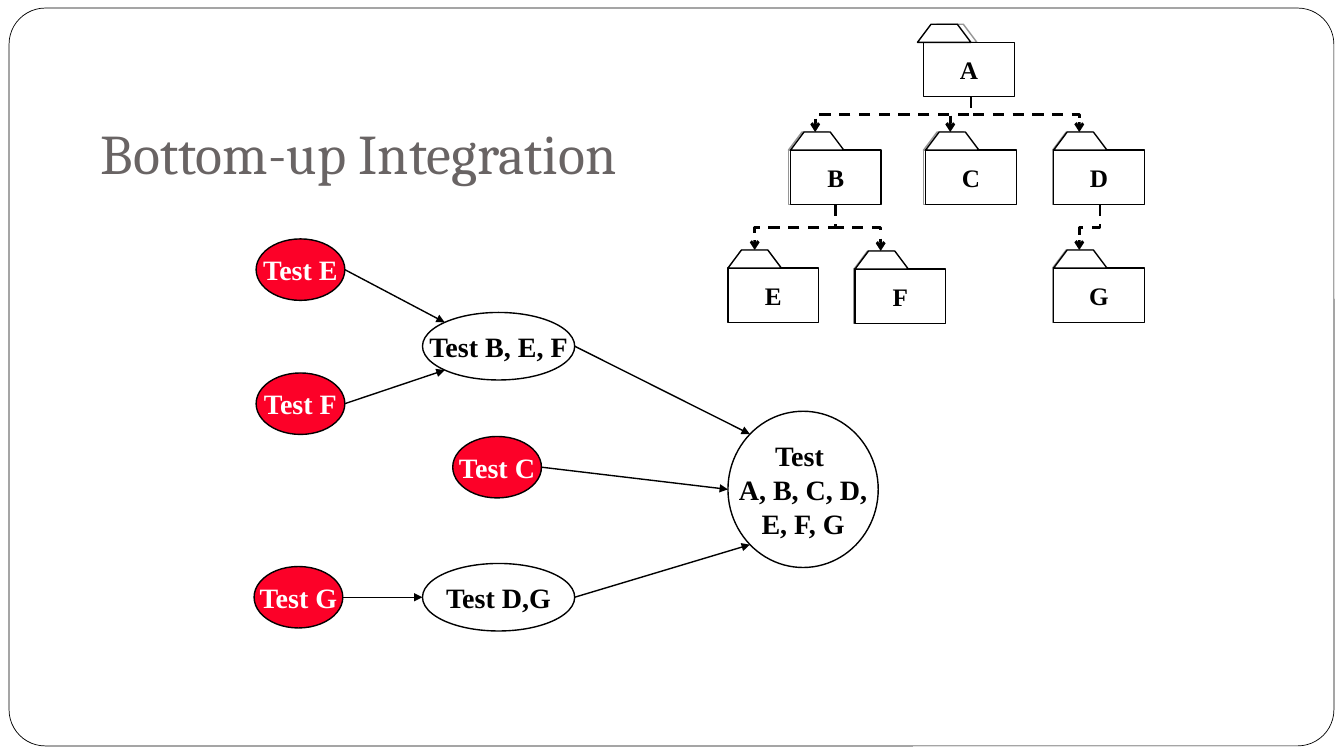
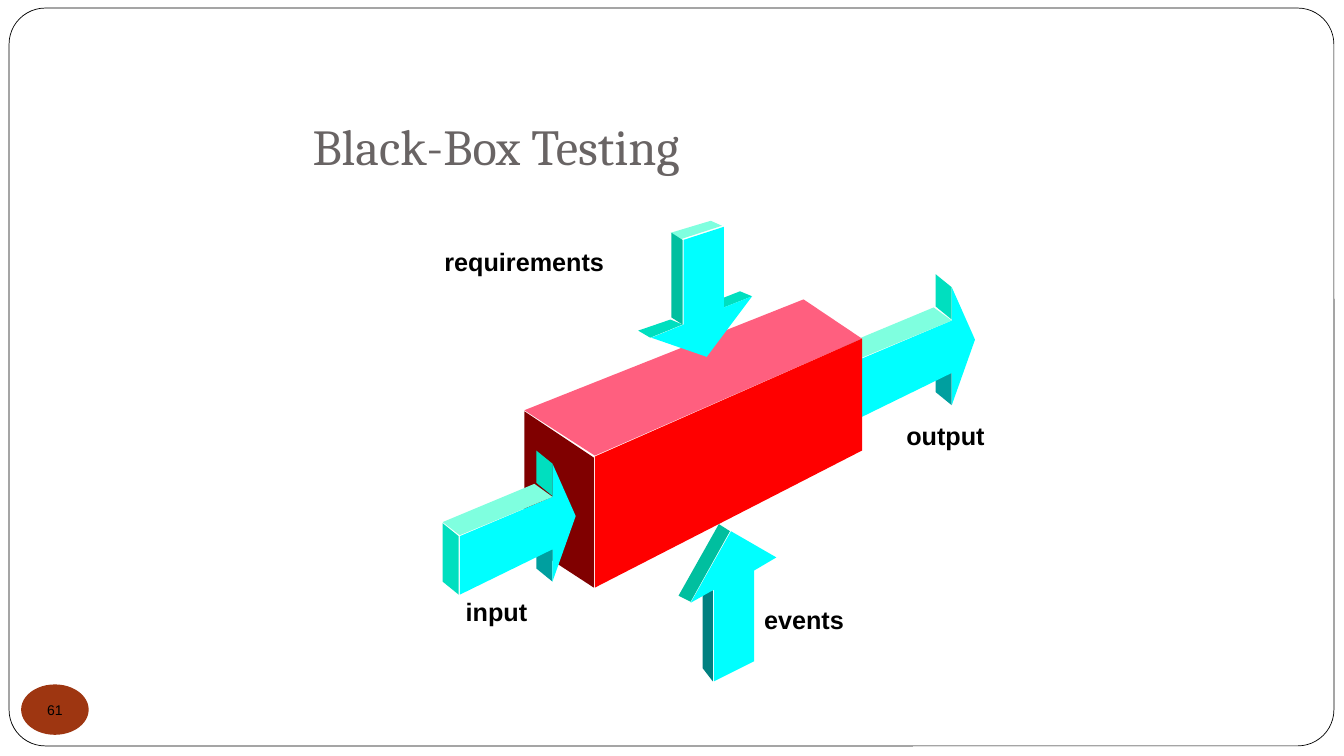
from lxml.etree import SubElement
from pptx import Presentation
from pptx.dml.color import RGBColor
from pptx.enum.dml import MSO_LINE_DASH_STYLE as Dash
from pptx.enum.shapes import MSO_CONNECTOR as Link, MSO_SHAPE as Preset
from pptx.enum.text import MSO_ANCHOR as Anchor, MSO_AUTO_SIZE as AutoSize, PP_ALIGN as Align
from pptx.oxml.ns import qn
from pptx.util import Inches, Pt

COLORS = {
    "white": "FFFFFF", "black": "000000", "title": "696464", "shade": "969696",
    "test": "FC0128", "badge": "9E3611",
    "front": "00FFFF", "light": "7FFFDF", "mint": "00DFBF",
    "sea": "00BF9F", "teal": "009F9F", "deep": "008080",
    "box front": "FF0000", "box top": "FF5F7F", "box side": "800000",
}
TITLE = {"name": "Cambria", "bold": False}
FOLDER = {"name": "Times New Roman", "size": Pt(18), "bold": True}
TEST = {"name": "Times New Roman", "size": Pt(20), "bold": True}
LABEL = {"name": "Arial", "size": Pt(18), "bold": True}
BADGE = {"name": "Arial", "size": Pt(10), "bold": False}

# Folder tree: body left and top, left edge of the grey shade
FOLDERS = {
    "A": (9.16, 0.42, 9.16), "E": (7.22, 2.66, 7.22), "F": (8.48, 2.67, 8.47),
    "B": (7.84, 1.49, 7.82), "C": (9.18, 1.49, 9.16),
    "D": (10.45, 1.49, 10.44), "G": (10.45, 2.66, 10.44),
}
BRANCHES = ["AB", "BE", "BF", "DG", "AC", "AD"]
BODY_W, BODY_H, TAB_W, TAB_H = 0.9, 0.54, 0.53, 0.18

# Test steps: left, top, width, height, fill, lines of text
SMALL, WIDE = (0.88, 0.61), (1.51, 0.67)
STEPS = {
    "E": (2.54, 2.37, *SMALL, "test", ["Test E"]),
    "F": (2.54, 3.7, *SMALL, "test", ["Test F"]),
    "C": (4.49, 4.33, *SMALL, "test", ["Test C"]),
    "G": (2.52, 5.62, *SMALL, "test", ["Test G"]),
    "BEF": (4.19, 3.1, *WIDE, None, ["Test B, E, F"]),
    "DG": (4.19, 5.59, *WIDE, None, ["Test D,G"]),
    "all": (7.22, 4.08, 1.49, 1.55, None, ["Test ", "A, B, C, D,", "E, F, G"]),
}
# Points on an ellipse as fractions of its width and height
RIGHT, LEFT = (1, 0.5), (0, 0.5)
UPPER_LEFT, LOWER_LEFT = (0.146, 0.146), (0.146, 0.854)
STEP_ARROWS = [
    ("E", "BEF", UPPER_LEFT), ("F", "BEF", LOWER_LEFT), ("BEF", "all", UPPER_LEFT),
    ("C", "all", LEFT), ("DG", "all", LOWER_LEFT), ("G", "DG", LEFT),
]

# Solid bodies: faces from back to front
OUTPUT_ARROW = [
    ("teal", [(9.44, 4.02), (9.44, 3.7), (9.28, 3.57), (9.28, 3.89)]),
    ("front", [(9.44, 3.18), (8.52, 3.57), (8.52, 4.15), (9.44, 3.7),
               (9.44, 4.02), (9.67, 3.37), (9.44, 2.85)]),
    ("mint", [(8.51, 3.57), (8.51, 4.15), (8.35, 4.02), (8.35, 3.44)]),
    ("light", [(8.35, 3.43), (8.52, 3.56), (9.44, 3.18), (9.26, 3.05)]),
    ("mint", [(9.44, 2.85), (9.28, 2.72), (9.28, 3.04), (9.44, 3.17)]),
]
EVENTS_ARROW = [
    ("deep", [(7.07, 6.76), (7.07, 5.86), (6.97, 5.79), (6.97, 6.63)]),
    ("front", [(7.25, 5.27), (7.7, 5.53), (7.48, 5.66), (7.48, 6.56),
               (7.08, 6.76), (7.08, 5.85), (6.85, 5.98)]),
    ("sea", [(6.85, 5.97), (6.73, 5.91), (7.13, 5.2), (7.24, 5.27)]),
]
SYSTEM_BOX = [
    ("box side", [(5.2, 4.08), (5.89, 4.54), (5.89, 5.83), (5.2, 5.38)]),
    ("box top", [(5.2, 4.07), (5.9, 4.52), (8.55, 3.36), (7.97, 2.97)]),
    ("box front", [(5.9, 4.53), (5.9, 5.83), (8.55, 4.47), (8.55, 3.36)]),
]
REQUIREMENTS_ARROW = [
    ("light", [(6.65, 2.31), (6.76, 2.37), (7.16, 2.24), (7.05, 2.19)]),
    ("mint", [(7.18, 3.05), (7.46, 2.94), (7.34, 2.89), (7.06, 3)]),
    ("front", [(6.78, 2.38), (7.18, 2.25), (7.18, 3.05), (7.46, 2.94),
               (7.01, 3.54), (6.46, 3.35), (6.78, 3.22)]),
    ("mint", [(6.45, 3.35), (6.33, 3.28), (6.65, 3.17), (6.77, 3.22)]),
    ("sea", [(6.66, 3.15), (6.77, 3.22), (6.77, 2.38), (6.66, 2.31)]),
]
INPUT_SHIFT = (-3.96, 1.75)
LABELS = [
    ("requirements", 4.31, 2.39, 1.8), ("events", 7.48, 5.95, 1),
    ("input", 4.52, 5.87, 0.82), ("output", 8.89, 4.12, 0.99),
]


def rgb(name):
    return RGBColor.from_string(COLORS[name])


def paint(shape, fill, line=None, width=1):
    shape.shadow.inherit = False
    if fill:
        shape.fill.solid()
        shape.fill.fore_color.rgb = rgb(fill)
    else:
        shape.fill.background()
    if line:
        shape.line.color.rgb = rgb(line)
        shape.line.width = Pt(width)
    else:
        shape.line.fill.background()


def write(shape, lines, font, color="black", align=Align.CENTER,
          anchor=Anchor.MIDDLE, wrap=False, margins=(0.1, 0.05, 0.1, 0.05)):
    frame = shape.text_frame
    left, top, right, bottom = map(Inches, margins)
    settings = {
        "word_wrap": wrap, "auto_size": AutoSize.NONE, "vertical_anchor": anchor,
        "margin_left": left, "margin_top": top,
        "margin_right": right, "margin_bottom": bottom,
    }
    for name, value in settings.items():
        setattr(frame, name, value)
    for index, line in enumerate(lines):
        para = frame.add_paragraph() if index else frame.paragraphs[0]
        para.alignment = align
        span = para.add_run()
        span.text = line
        for name, value in font.items():
            setattr(span.font, name, value)
        span.font.color.rgb = rgb(color)


def add_box(page, preset, place, fill, line=None, width=1, adjust=None):
    box = page.shapes.add_shape(preset, *map(Inches, place))
    if adjust is not None:
        box.adjustments[0] = adjust
    paint(box, fill, line, width)
    return box


def add_title(page, text, place, size, **layout):
    title = page.shapes.title
    title.left, title.top, title.width, title.height = map(Inches, place)
    write(title, [text], {**TITLE, "size": Pt(size)}, "title",
          Align.LEFT, wrap=True, **layout)


def add_link(page, kind, start, end, width, head):
    link = page.shapes.add_connector(kind, *map(Inches, (*start, *end)))
    link.line.color.rgb = rgb("black")
    link.line.width = Pt(width)
    SubElement(link._element.spPr, qn("a:effectLst"))
    SubElement(link.line._get_or_add_ln(), qn("a:tailEnd"), type=head)
    return link


def add_branch(page, start, end):
    """Dashed elbow that leaves downwards: a sideways elbow turned upright."""
    (x1, y1), (x2, y2) = start, end
    mid_x, mid_y = (x1 + x2) / 2, (y1 + y2) / 2
    half_w, half_h = (y2 - y1) / 2, abs(x2 - x1) / 2
    turn = 90 if x2 < x1 else 270
    if turn == 270:
        half_w = -half_w
    link = add_link(page, Link.ELBOW, (mid_x - half_w, mid_y - half_h),
                    (mid_x + half_w, mid_y + half_h), 2, "arrow")
    link.line.dash_style = Dash.DASH
    link._element.spPr.find(qn("a:xfrm")).set("rot", str(turn * 60000))


def add_tab(page, left, body_top, line):
    add_box(page, Preset.TRAPEZOID, (left, body_top - TAB_H, TAB_W, TAB_H),
            "white", line, adjust=0.75)


def add_folder_tree(page):
    # Grey shades
    for name, (left, top, shade) in FOLDERS.items():
        if shade != left:
            add_box(page, Preset.RECTANGLE, (shade, top, BODY_W, BODY_H), "white", "shade")
        add_tab(page, shade, top, "shade")
    # Branches
    for parent, child in BRANCHES:
        _, top, shade = FOLDERS[parent]
        _, child_top, child_shade = FOLDERS[child]
        add_branch(page, (shade + 0.47, top + BODY_H),
                   (child_shade + TAB_W / 2, child_top - TAB_H))
    # Black folders
    for name, (left, top, _) in FOLDERS.items():
        body = add_box(page, Preset.RECTANGLE, (left, top, BODY_W, BODY_H), "white", "black")
        write(body, [name], FOLDER)
        add_tab(page, left - 0.06 if name == "A" else left, top, "black")


def point_on(step, site):
    left, top, width, height = STEPS[step][:4]
    return left + width * site[0], top + height * site[1]


def add_test_steps(page):
    for *place, fill, lines in STEPS.values():
        oval = add_box(page, Preset.OVAL, place, fill, "black")
        write(oval, lines, TEST, "white" if fill else "black")
    for source, target, site in STEP_ARROWS:
        add_link(page, Link.STRAIGHT, point_on(source, RIGHT),
                 point_on(target, site), 1, "triangle")


def add_solid(page, faces, shift=(0, 0)):
    for fill, points in faces:
        corners = [(Inches(x + shift[0]), Inches(y + shift[1])) for x, y in points]
        outline = page.shapes.build_freeform(*corners[0])
        outline.add_line_segments(corners[1:], close=True)
        paint(outline.convert_to_shape(), fill)


def add_master_frame(deck, page):
    """Draw the rounded page frame and move it to the master."""
    frame = add_box(page, Preset.ROUNDED_RECTANGLE, (0.09, 0.08, 13.14, 7.32),
                    "white", "black", 0.5, 0.049)
    frame._element.nvSpPr.cNvPr.set("id", "100")
    deck.slide_master.shapes._spTree.insert(2, frame._element)


def build_integration(page):
    add_title(page, "Bottom-up Integration", (0.9, 0.49, 11.32, 1.45), 40,
              anchor=Anchor.BOTTOM, margins=(0.1, 0.05, 0.1, 0.1))
    add_folder_tree(page)
    add_test_steps(page)


def build_black_box(page):
    add_title(page, "Black-Box Testing", (3, 1.17, 5.68, 0.54), 36)
    badge = add_box(page, Preset.OVAL, (0.21, 6.79, 0.67, 0.5), "badge")
    write(badge, ["61"], BADGE, margins=(0, 0, 0, 0))
    for faces in (OUTPUT_ARROW, EVENTS_ARROW, SYSTEM_BOX, REQUIREMENTS_ARROW):
        add_solid(page, faces)
    add_solid(page, OUTPUT_ARROW, INPUT_SHIFT)
    for text, left, top, width in LABELS:
        label = page.shapes.add_textbox(*map(Inches, (left, top, width, 0.4)))
        write(label, [text], LABEL, align=Align.LEFT, anchor=Anchor.TOP)


def main():
    deck = Presentation()
    deck.slide_width, deck.slide_height = Inches(13.33), Inches(7.5)
    title_only = deck.slide_layouts[5]
    pages = [deck.slides.add_slide(title_only) for _ in range(2)]
    add_master_frame(deck, pages[0])
    build_integration(pages[0])
    build_black_box(pages[1])
    deck.save("out.pptx")


if __name__ == "__main__":
    main()
